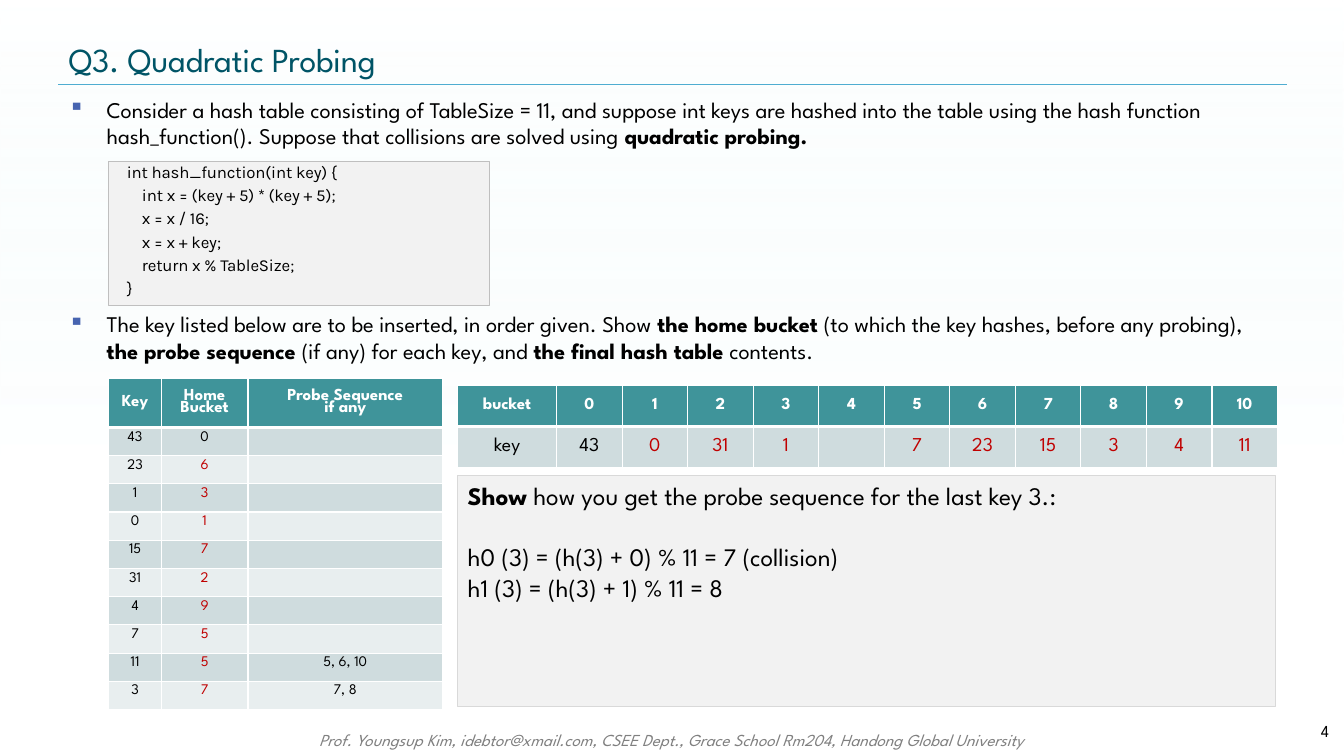
from lxml.etree import SubElement
from pptx import Presentation
from pptx.dml.color import RGBColor
from pptx.enum.shapes import MSO_CONNECTOR, MSO_SHAPE
from pptx.enum.text import MSO_ANCHOR, PP_ALIGN
from pptx.oxml.ns import qn
from pptx.util import Inches, Pt

FONT = "League Spartan"
TEAL, BAND, PALE, RED = "3F949A", "CFDCDE", "E8EEEF", "C00000"
MID, LEFT, RIGHT = PP_ALIGN.CENTER, PP_ALIGN.LEFT, PP_ALIGN.RIGHT

CODE = [
    (0, "int hash_function(int key) {"),
    (1, "int x = (key + 5) * (key + 5);"),
    (1, "x = x / 16;"),
    (1, "x = x + key;"),
    (1, "return x % TableSize;"),
    (0, "}"),
]
PROBES = [
    ("43", "0", ""), ("23", "6", ""), ("1", "3", ""), ("0", "1", ""),
    ("15", "7", ""), ("31", "2", ""), ("4", "9", ""), ("7", "5", ""),
    ("11", "5", "5, 6, 10"), ("3", "7", "7, 8"),
]
KEYS = ["43", "0", "31", "1", "", "7", "23", "15", "3", "4", "11"]


def color(text):
    return RGBColor.from_string(text)


def assign(item, values):
    for name, value in values.items():
        setattr(item, name, value)


class Page:
    def __init__(self, slide):
        self.slide = slide
        self.shapes = slide.shapes

    def label(self, para, text, size, tint="000000", font=FONT, space=None,
              form=None, **style):
        """Fill a paragraph; parts between ** marks are bold."""
        assign(para, form or {})
        for i, part in enumerate(text.split("**")):
            if not part:
                continue
            run = para.add_run()
            run.text = part
            assign(run.font, {"name": font, "size": Pt(size),
                              "bold": i % 2 == 1, **style})
            run.font.color.rgb = color(tint)
            if space:
                run.font._element.set("spc", str(space))
        if not text:
            SubElement(para._p, qn("a:endParaRPr"), sz=str(int(size * 100)))

    def paras(self, frame, count):
        return [frame.paragraphs[0]] + [frame.add_paragraph()
                                        for _ in range(count - 1)]

    def title(self, text, box):
        head = self.shapes.title
        assign(head, dict(zip(("left", "top", "width", "height"),
                              map(Inches, box))))
        assign(head.text_frame, {"vertical_anchor": MSO_ANCHOR.MIDDLE,
                                 "word_wrap": True})
        self.label(head.text_frame.paragraphs[0], text, 24, "005466",
                   space=-10, form={"alignment": LEFT})

    def text(self, box, anchor=MSO_ANCHOR.TOP):
        frame = self.shapes.add_textbox(*map(Inches, box)).text_frame
        assign(frame, {"word_wrap": True, "vertical_anchor": anchor})
        return frame

    def rect(self, box, fill=None, edge=None):
        shape = self.shapes.add_shape(MSO_SHAPE.RECTANGLE, *map(Inches, box))
        shape.shadow.inherit = False
        if fill:
            shape.fill.solid()
            shape.fill.fore_color.rgb = color(fill)
        if edge:
            shape.line.color.rgb = color(edge)
            shape.line.width = Pt(0.75)
        else:
            shape.line.fill.background()
        assign(shape.text_frame, {"word_wrap": True,
                                  "vertical_anchor": MSO_ANCHOR.TOP})
        return shape

    def glow(self, box, stops):
        """Lay a see-through vertical gradient behind everything."""
        shape = self.rect(box)
        shape.fill.gradient()
        shape.fill.gradient_angle = 270
        for stop, (place, tint, _) in zip(shape.fill.gradient_stops, stops):
            stop.position = place
            stop.color.rgb = color(tint)
        marks = list(shape._element.spPr.iter(qn("a:srgbClr")))
        for mark, (_, _, alpha) in zip(marks, stops):
            SubElement(mark, qn("a:alpha"), val=str(alpha * 1000))
        self.shapes._spTree.insert(2, shape._element)

    def rule(self, x1, x2, y, tint):
        line = self.shapes.add_connector(MSO_CONNECTOR.STRAIGHT, Inches(x1),
                                         Inches(y), Inches(x2), Inches(y))
        line.line.color.rgb = color(tint)
        line.line.width = Pt(0.25)
        SubElement(line._element.spPr, qn("a:effectLst"))

    def bullet(self, para, text, before):
        self.label(para, text, 16, form={"space_before": Pt(before)})
        props = para._p.get_or_add_pPr()
        props.set("marL", str(Inches(0.38)))
        props.set("indent", str(-Inches(0.38)))
        tint = SubElement(props, qn("a:buClr"))
        SubElement(tint, qn("a:srgbClr"), val="4764B0")
        SubElement(props, qn("a:buChar"), char="▪")

    def edges(self, cell, row):
        props = cell._tc.get_or_add_tcPr()
        for side in "LRTB":
            if side == "T" and row:
                continue
            width = 3 if side == "B" and not row else 1
            line = SubElement(props, qn(f"a:ln{side}"), w=str(Pt(width)))
            fill = SubElement(line, qn("a:solidFill"))
            SubElement(fill, qn("a:srgbClr"), val="FFFFFF")

    def table(self, box, cols, highs, rows, size, tint, pack=None,
              anchor=MSO_ANCHOR.MIDDLE):
        """Draw a banded table; tint(row, col) colours the body text."""
        grid = self.shapes.add_table(len(rows), len(cols),
                                     *map(Inches, box)).table
        for col, width in zip(grid.columns, cols):
            col.width = Inches(width)
        for r, (row, high) in enumerate(zip(rows, highs)):
            grid.rows[r].height = Inches(high)
            for c, text in enumerate(row):
                cell = grid.cell(r, c)
                self.edges(cell, r)
                cell.fill.solid()
                fill = (BAND if r % 2 else PALE) if r else TEAL
                cell.fill.fore_color.rgb = color(fill)
                cell.vertical_anchor = anchor if r else MSO_ANCHOR.MIDDLE
                lines = text.split("\n")
                paras = self.paras(cell.text_frame, len(lines))
                for para, line in zip(paras, lines):
                    self.label(para, line if r else f"**{line}**",
                               size if r else 12,
                               tint(r, c) if r else "FFFFFF",
                               form={"alignment": MID, "line_spacing": pack})


def main():
    deck = Presentation()
    deck.slide_width, deck.slide_height = Inches(13.33), Inches(7.5)
    page = Page(deck.slides.add_slide(deck.slide_layouts[5]))

    page.glow((0, 0, 13.33, 7.5), [(0, "D9F3F4", 0), (0.61, "FFFFFF", 40)])
    page.title("Q3. Quadratic Probing", (0.58, 0.34, 12.18, 0.5))
    page.rule(0.58, 12.76, 0.84, "4FADD1")

    foot = page.text((1.98, 7.19, 9.37, 0.3))
    page.label(foot.paragraphs[0],
               "Prof. Youngsup Kim, idebtor@xmail.com, CSEE Dept., "
               "Grace School Rm204, Handong Global University",
               12, "808080", form={"alignment": MID}, italic=True)
    count = page.text((12.11, 7.05, 1.17, 0.4), MSO_ANCHOR.MIDDLE)
    page.label(count.paragraphs[0], "4", 12, form={"alignment": RIGHT})

    tasks = page.paras(page.text((0.58, 0.9, 12.18, 6.15)), 2)
    page.bullet(tasks[0], "Consider a hash table consisting of TableSize = 11, "
                "and suppose int keys are hashed into the table using the hash "
                "function hash_function(). Suppose that collisions are solved "
                "using **quadratic probing.**", 0)
    page.bullet(tasks[1], "The key listed below are to be inserted, in order "
                "given. Show **the home bucket** (to which the key hashes, "
                "before any probing), **the probe sequence** (if any) for each "
                "key, and **the final hash table** contents.", 115)

    code = page.rect((1.08, 1.6, 3.78, 1.43), "F2F2F2", "BFBFBF").text_frame
    for i, para in enumerate(page.paras(code, len(CODE))):
        depth, line = CODE[i]
        page.label(para, line, 12, font="Karla", space=-10,
                   form={"alignment": LEFT, "line_spacing": 0.75,
                         "space_before": Pt(5.8 if i else 0)})
        para._p.get_or_add_pPr().set("marL", str(Inches(0.08 + 0.15 * depth)))

    heads = ("Key", "Home\nBucket", "Probe Sequence\nif any")
    page.table((1.08, 3.75, 3.31, 3.25), (0.52, 0.86, 1.93),
               [0.49] + [0.28] * len(PROBES), [heads] + PROBES, 10.5,
               lambda r, c: RED if c == 1 and r > 1 else "000000",
               0.8, MSO_ANCHOR.TOP)
    slots = [str(n) for n in range(len(KEYS))]
    page.table((4.54, 3.82, 8.11, 0.81), [0.98] + [0.65] * len(KEYS),
               (0.41, 0.41), [["bucket"] + slots, ["key"] + KEYS], 14,
               lambda r, c: RED if c > 1 else "000000")

    work = page.rect((4.54, 4.72, 8.11, 2.29), "F2F2F2", "D9D9D9").text_frame
    steps = [
        ("**Show** how you get the probe sequence for the last key 3.:", 0),
        ("h0 (3) = (h(3) + 0) % 11 = 7 (collision)", 22),
        ("h1 (3) = (h(3) + 1) % 11 = 8", 0),
    ]
    for para, (line, before) in zip(page.paras(work, len(steps)), steps):
        page.label(para, line, 18, form={"alignment": LEFT,
                                         "space_before": Pt(before)})

    deck.save("out.pptx")


if __name__ == "__main__":
    main()
